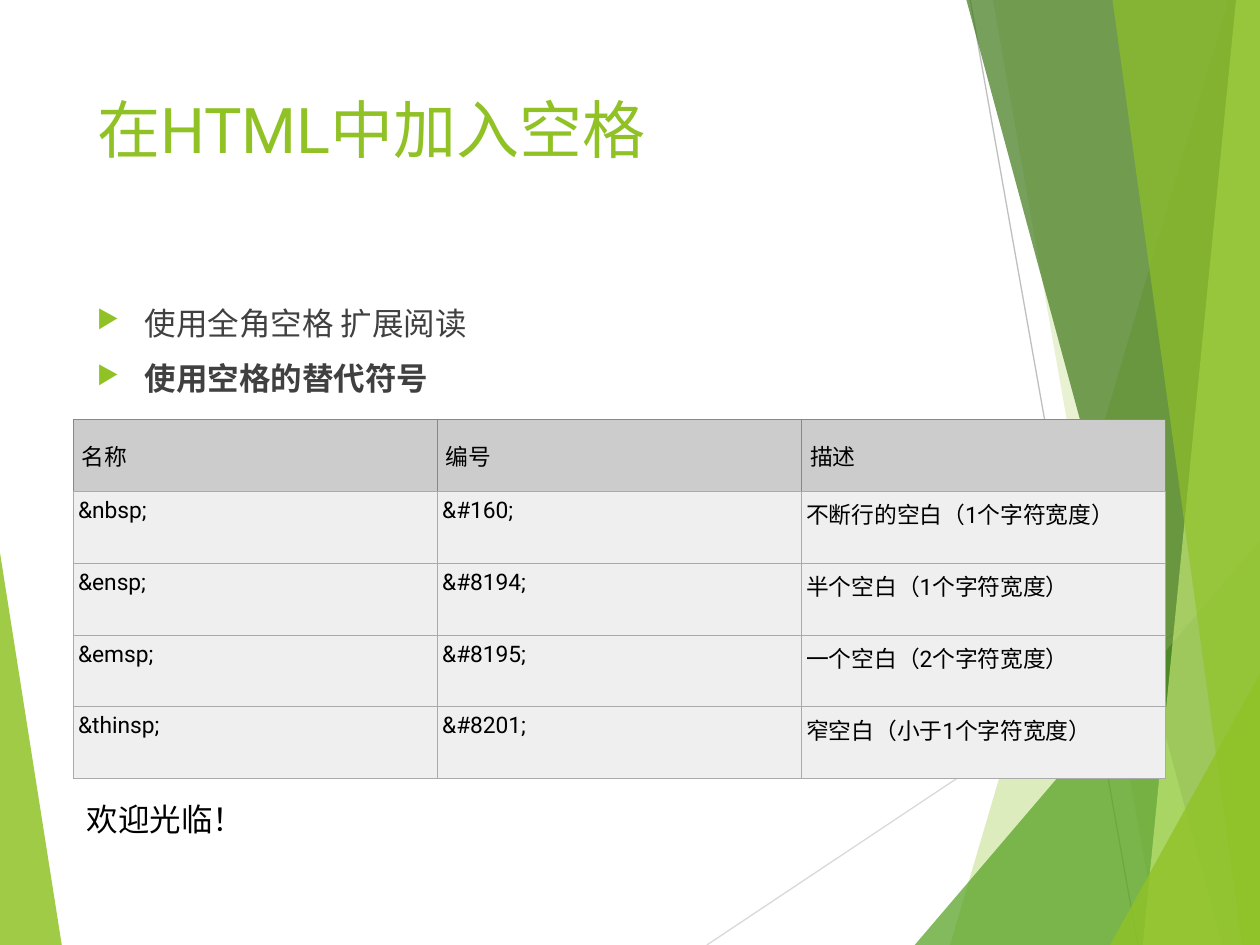
from dataclasses import dataclass

from lxml.etree import SubElement
from pptx import Presentation
from pptx.dml.color import RGBColor
from pptx.enum.shapes import MSO_CONNECTOR
from pptx.enum.text import MSO_ANCHOR, MSO_AUTO_SIZE, PP_ALIGN
from pptx.oxml import parse_xml
from pptx.oxml.ns import nsdecls, qn
from pptx.util import Inches, Pt


@dataclass(frozen=True)
class Theme:
    font: str = "Roboto"
    closing_font: str = "Cambria"
    green: str = "90C226"
    mid_green: str = "54A021"
    dark_green: str = "3F7819"
    light_green: str = "C0E474"
    body: str = "404040"
    black: str = "000000"
    header: str = "CCCCCC"
    cell: str = "EFEFEF"
    border: str = "AAAAAA"
    header_border: str = "888888"
    title_size: float = 36
    body_size: float = 18
    table_size: float = 13


@dataclass(frozen=True)
class Box:
    """A region in EMU; what it holds is placed by percent of its size."""
    left: int
    top: int
    width: int
    height: int

    def point(self, x, y):
        return (self.left + round(self.width * x / 100),
                self.top + round(self.height * y / 100))

    def region(self, x, y, w, h):
        return Box(*self.point(x, y), round(self.width * w / 100),
                   round(self.height * h / 100))

    @property
    def bounds(self):
        return self.left, self.top, self.width, self.height


T = Theme()
HEADERS = ["名称", "编号", "描述"]
ROWS = [
    ["&nbsp;", "&#160;", "不断行的空白（1个字符宽度）"],
    ["&ensp;", "&#8194;", "半个空白（1个字符宽度）"],
    ["&emsp;", "&#8195;", "一个空白（2个字符宽度）"],
    ["&thinsp;", "&#8201;", "窄空白（小于1个字符宽度）"],
]


def write(p, text, size, color, font=T.font, bold=False):
    p.text = text
    p.alignment = PP_ALIGN.LEFT
    f = p.font
    f.name, f.size, f.bold = font, Pt(size), bold
    f.color.rgb = RGBColor.from_string(color)


def add_panel(slide, box, points, color, opacity):
    first, *rest = [box.point(*pt) for pt in points]
    builder = slide.shapes.build_freeform(*first)
    builder.add_line_segments(rest, close=True)
    sp = builder.convert_to_shape()
    sp.shadow.inherit = False
    sp.line.fill.background()
    sp.fill.solid()
    sp.fill.fore_color.rgb = RGBColor.from_string(color)
    clr = sp._element.spPr.find(qn("a:solidFill"))[0]
    SubElement(clr, qn("a:alpha"), val=str(opacity * 1000))


def add_backdrop(slide, box):
    # Left wedge
    add_panel(slide, box, [(0, 58.5), (4.9, 100), (0, 100)], T.green, 85)

    # Thin crossing lines
    for start, end, color in [((56.1, 100), (100, 61), "D9D9D9"),
                              ((77, 0), (90.3, 100), "BFBFBF")]:
        line = slide.shapes.add_connector(
            MSO_CONNECTOR.STRAIGHT, *box.point(*start), *box.point(*end))
        line.line.color.rgb = RGBColor.from_string(color)
        line.line.width = Pt(0.75)
        SubElement(line._element.spPr, qn("a:effectLst"))

    # Each right panel runs from its slanted edge to the right side
    for upper, lower, color, opacity in [
        ((97.5, 0), (75.4, 100), T.green, 30),
        ((78.8, 0), (92, 100), T.green, 20),
        ((100, 57.2), (72.6, 100), T.mid_green, 72),
        ((76.7, 0), (97, 100), T.dark_green, 70),
        ((98.1, 0), (90.7, 100), T.light_green, 70),
        ((88.3, 0), (98.6, 100), T.green, 65),
        ((100, 71.3), (88.1, 100), T.green, 80),
    ]:
        corners = [(100, 100)] + ([(100, 0)] if upper[1] == 0 else [])
        add_panel(slide, box, [upper, lower, *corners], color, opacity)


def add_title(slide, box, text):
    title = slide.shapes.title
    title.left, title.top, title.width, title.height = box.bounds
    tf = title.text_frame
    tf.auto_size = MSO_AUTO_SIZE.NONE
    tf.vertical_anchor = MSO_ANCHOR.TOP
    write(tf.paragraphs[0], text, T.title_size, T.green)


def add_bullets(slide, box, items):
    tf = slide.shapes.add_textbox(*box.bounds).text_frame
    tf.word_wrap = True
    for i, (text, bold) in enumerate(items):
        p = tf.add_paragraph() if i else tf.paragraphs[0]
        write(p, text, T.body_size, T.body, bold=bold)
        p.space_before = Pt(10)
        pPr = p._p.get_or_add_pPr()
        pPr.set("marL", str(Inches(0.38)))
        pPr.set("indent", str(-Inches(0.38)))
        marks = [
            f'<a:buClr {nsdecls("a")}><a:srgbClr val="{T.green}"/></a:buClr>',
            f'<a:buSzPct {nsdecls("a")} val="80000"/>',
            f'<a:buChar {nsdecls("a")} char="▶"/>',
        ]
        for mark in marks:
            pPr.find(qn("a:defRPr")).addprevious(parse_xml(mark))


def set_borders(cell, sides):
    tcPr = cell._tc.get_or_add_tcPr()
    for i, (side, color) in enumerate(sides.items()):
        tcPr.insert(i, parse_xml(
            f'<a:ln{side} {nsdecls("a")} w="{Pt(0.34)}"><a:solidFill>'
            f'<a:srgbClr val="{color}"/></a:solidFill></a:ln{side}>'))


def add_entity_table(slide, box):
    data = [HEADERS, *ROWS]
    table = slide.shapes.add_table(
        len(data), len(HEADERS), *box.bounds).table
    table.horz_banding = False
    for r, row in enumerate(data):
        is_header = r == 0
        edge = T.header_border if is_header else T.border
        for c, text in enumerate(row):
            cell = table.cell(r, c)
            write(cell.text_frame.paragraphs[0], text, T.table_size, T.black)
            cell.fill.solid()
            cell.fill.fore_color.rgb = RGBColor.from_string(
                T.header if is_header else T.cell)
            cell.vertical_anchor = (
                MSO_ANCHOR.MIDDLE if is_header else MSO_ANCHOR.TOP)
            cell.margin_left = Inches(0.07 if is_header else 0.04)
            cell.margin_right = Inches(0.07 if is_header else 0.12)
            cell.margin_top = cell.margin_bottom = Inches(0.05)
            set_borders(cell, {"L": edge, "R": edge, "T": edge, "B": T.border})


def add_closing(slide, box, text):
    tf = slide.shapes.add_textbox(*box.bounds).text_frame
    tf.word_wrap = True
    write(tf.paragraphs[0], text, T.body_size, T.black, T.closing_font)


def main():
    prs = Presentation()
    prs.slide_width, prs.slide_height = Inches(10), Inches(7.5)
    slide = prs.slides.add_slide(prs.slide_layouts[5])
    page = Box(0, 0, prs.slide_width, prs.slide_height)

    add_backdrop(slide, page)
    add_title(slide, page.region(6.7, 8.9, 69.4, 19.2), "在HTML中加入空格")
    add_bullets(slide, page.region(6.7, 31.5, 69.4, 56.5),
                [("使用全角空格 扩展阅读", False), ("使用空格的替代符号", True)])
    add_entity_table(slide, page.region(5.8, 44.4, 86.7, 38))
    add_closing(slide, page.region(5.9, 84, 16.5, 5.3), "欢迎光临！")
    prs.save("out.pptx")


if __name__ == "__main__":
    main()
